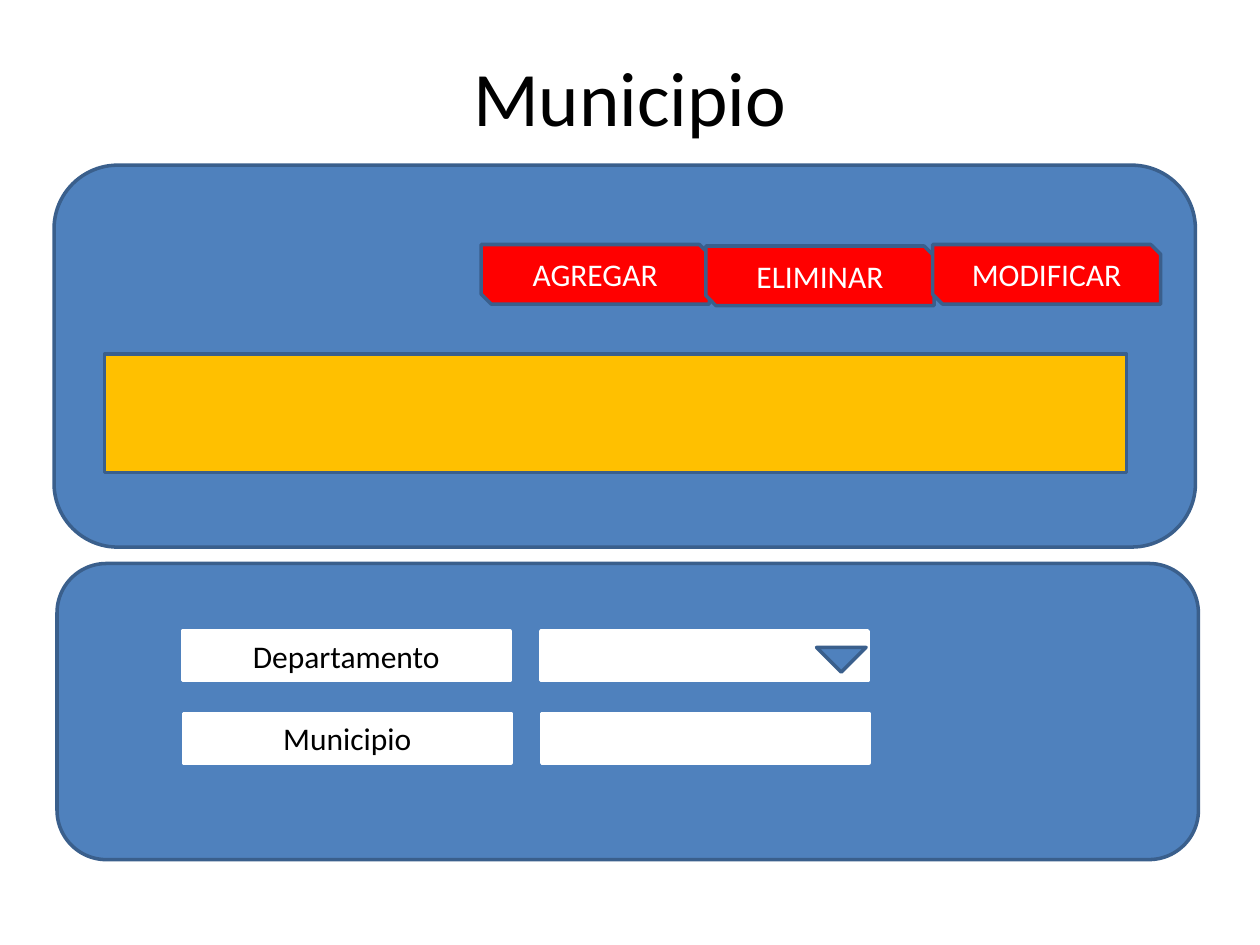
from dataclasses import dataclass

from pptx import Presentation
from pptx.dml.color import RGBColor
from pptx.enum.shapes import MSO_SHAPE as SHAPE
from pptx.enum.text import MSO_ANCHOR as ANCHOR, PP_ALIGN as ALIGN
from pptx.util import Cm, Pt

COLORS = {
    "blue": "4F81BD",
    "edge": "3A5F8C",
    "red": "FF0000",
    "amber": "FFC000",
    "white": "FFFFFF",
    "black": "000000",
}


@dataclass
class Box:
    left: float
    top: float
    width: float
    height: float
    kind: SHAPE = SHAPE.RECTANGLE
    fill: str = "blue"
    line: str = "edge"
    text: str = ""
    color: str = "white"
    rotation: float = 0


def rgb(name: str) -> RGBColor:
    return RGBColor.from_string(COLORS[name])


def write(shape, text: str, size: float, color: str) -> None:
    tf = shape.text_frame
    tf.word_wrap = True
    tf.vertical_anchor = ANCHOR.MIDDLE
    p = tf.paragraphs[0]
    p.text = text
    p.alignment = ALIGN.CENTER
    p.font.name = "Calibri"
    p.font.size = Pt(size)
    p.font.color.rgb = rgb(color)


def draw(s, box: Box) -> None:
    sp = s.shapes.add_shape(box.kind, Cm(box.left), Cm(box.top),
                            Cm(box.width), Cm(box.height))
    sp.shadow.inherit = False
    sp.rotation = box.rotation
    sp.fill.solid()
    sp.fill.fore_color.rgb = rgb(box.fill)
    sp.line.color.rgb = rgb(box.line)
    sp.line.width = Pt(2)
    if box.text:
        write(sp, box.text, 18, box.color)


prs = Presentation()
prs.slide_width, prs.slide_height = Cm(25.4), Cm(19.05)
s = prs.slides.add_slide(prs.slide_layouts[6])

# Title
title = s.shapes.add_textbox(Cm(1.9), Cm(0.74), Cm(21.6), Cm(2.39))
write(title, "Municipio", 44, "black")

# Upper panel with its buttons and result bar
draw(s, Box(1.09, 3.33, 23.01, 7.7, SHAPE.ROUNDED_RECTANGLE))
buttons = [("AGREGAR", 9.7, 4.93), ("ELIMINAR", 14.23, 4.96), ("MODIFICAR", 18.8, 4.93)]
for text, left, top in buttons:
    draw(s, Box(left, top, 4.6, 1.2, SHAPE.SNIP_2_DIAG_RECTANGLE, "red", text=text))
draw(s, Box(2.11, 7.14, 20.6, 2.39, fill="amber"))

# Lower panel with one label and one field per row
draw(s, Box(1.15, 11.36, 23.01, 5.97, SHAPE.ROUNDED_RECTANGLE))
for text, left, top in [("Municipio", 3.7, 14.38), ("Departamento", 3.68, 12.72)]:
    for offset, label in [(7.22, ""), (0, text)]:
        draw(s, Box(left + offset, top, 6.6, 1, fill="white", line="white",
                    text=label, color="black"))

# Drop-down arrow
draw(s, Box(16.46, 13.05, 1, 0.5, SHAPE.ISOSCELES_TRIANGLE, rotation=180))

prs.save("out.pptx")
